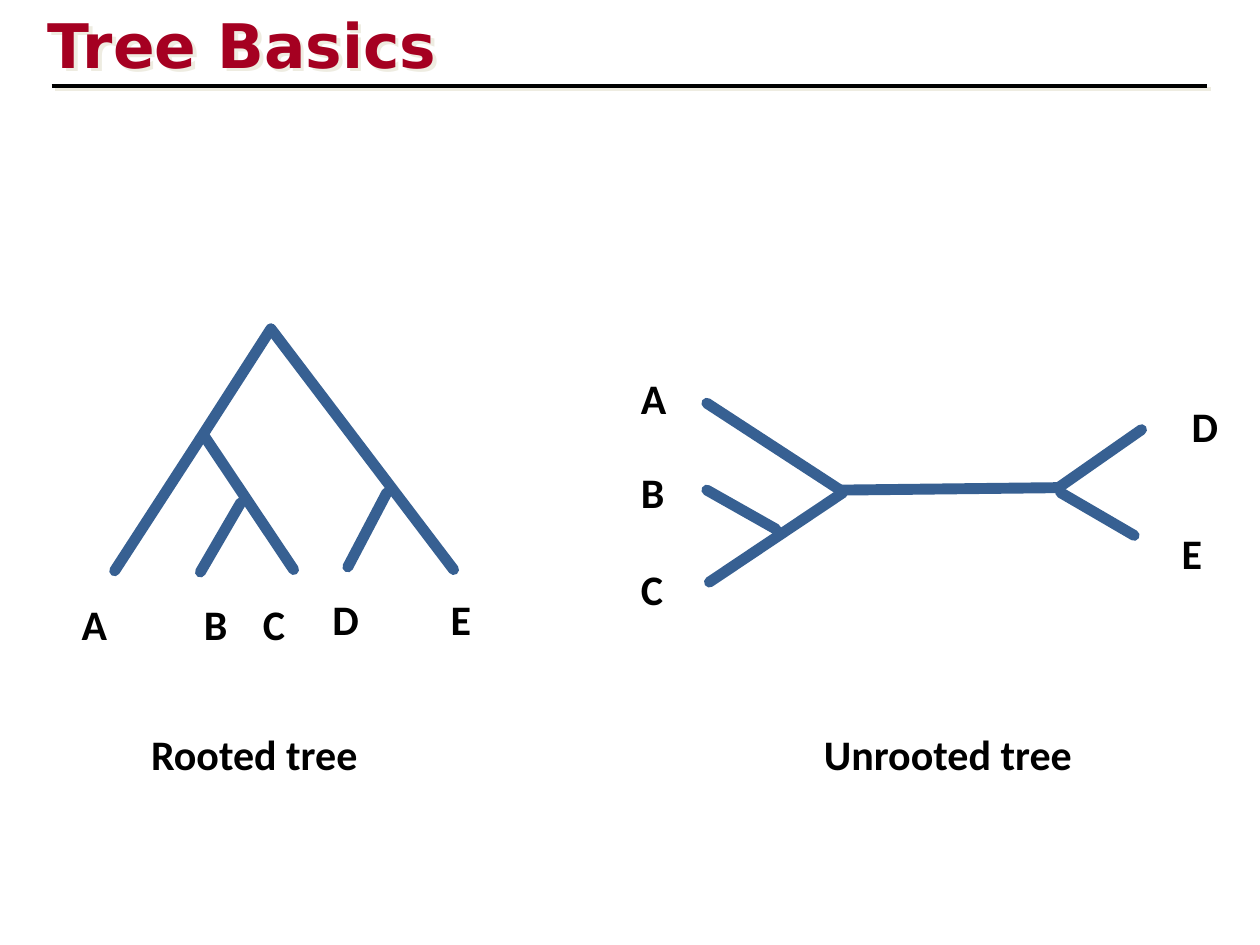
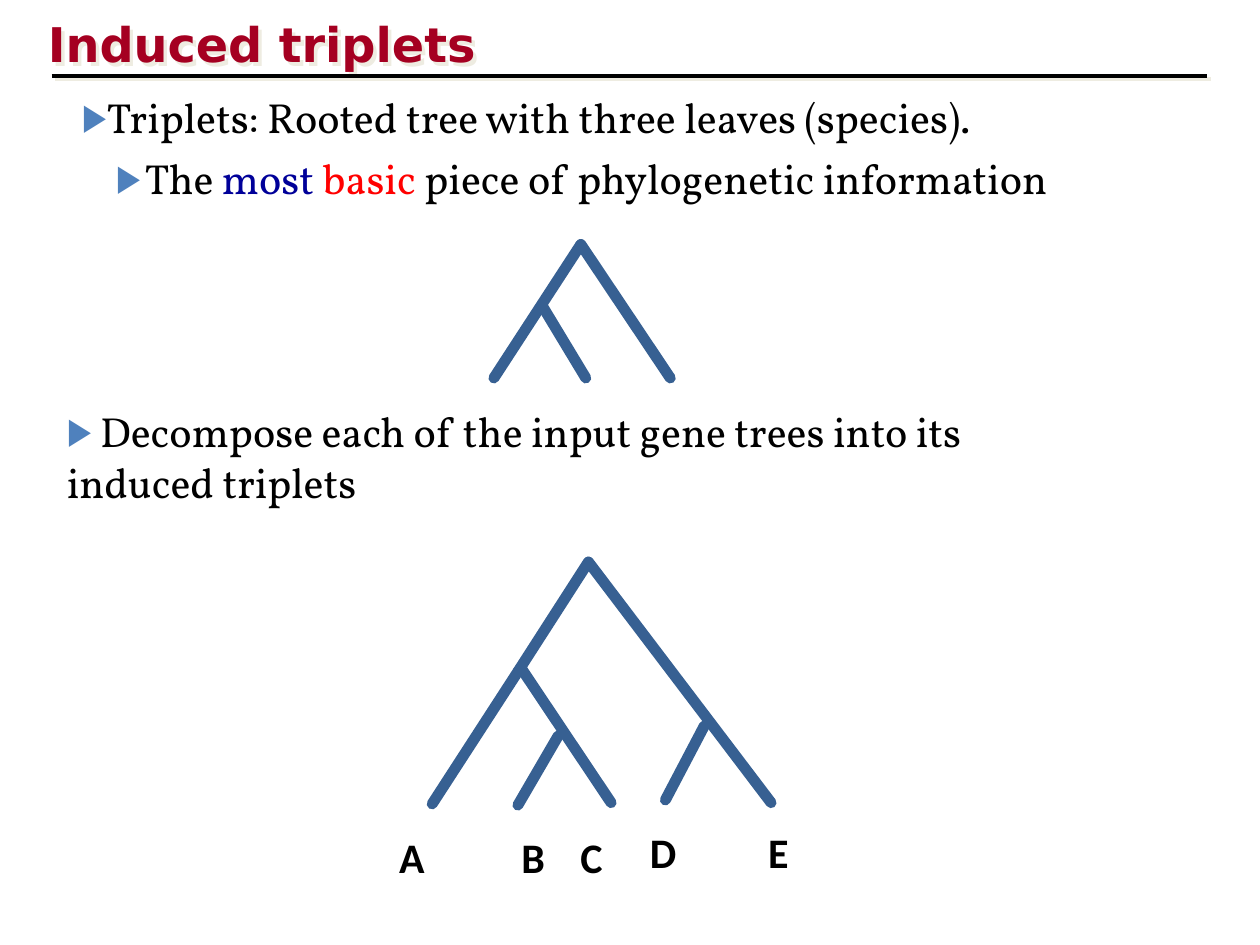
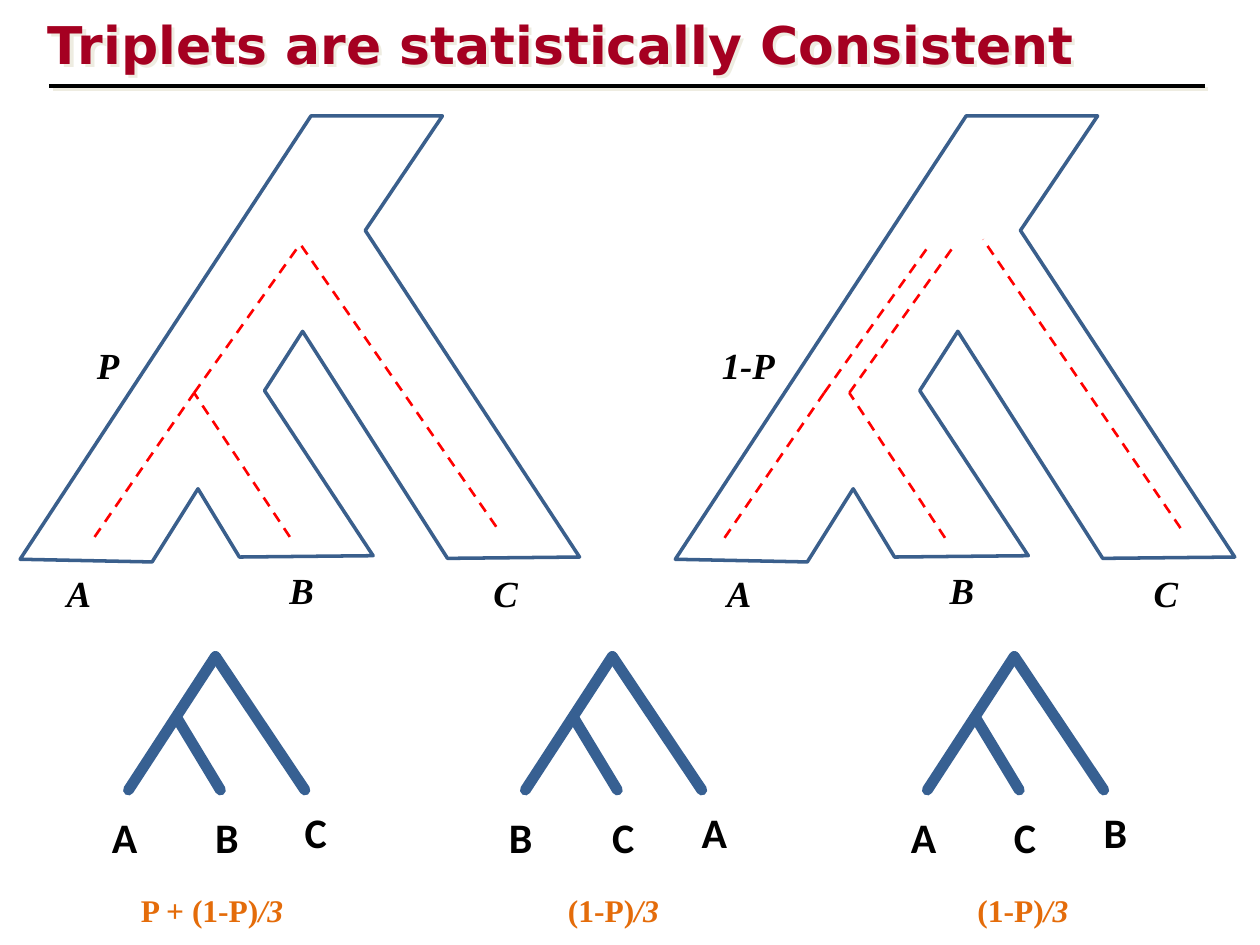
from dataclasses import dataclass

from lxml.etree import SubElement
from pptx import Presentation
from pptx.dml.color import RGBColor
from pptx.enum.dml import MSO_LINE_DASH_STYLE as Dash
from pptx.enum.shapes import MSO_CONNECTOR as Connector
from pptx.enum.text import MSO_ANCHOR as Anchor, MSO_AUTO_SIZE as AutoSize, PP_ALIGN as Align
from pptx.oxml.ns import qn
from pptx.util import Emu, Inches, Pt


@dataclass(frozen=True)
class TextStyle:
    font: str
    size: float
    color: str = "000000"
    bold: bool = True
    italic: bool = False


@dataclass(frozen=True)
class LineStyle:
    color: str
    width: float
    dash: Dash = None
    cap: str = "flat"


@dataclass(frozen=True)
class Theme:
    title_font: str = "DejaVu Sans"
    title_color: str = "A50021"
    shadow: str = "EEECE1"
    bullet: str = "4F81BD"
    navy: str = "000099"
    red: str = "FF0000"
    body: TextStyle = TextStyle("Vollkorn", 24, bold=False)
    label: TextStyle = TextStyle("Calibri", 24)
    species: TextStyle = TextStyle("Times New Roman", 21, italic=True)
    formula: TextStyle = TextStyle("Times New Roman", 18, "E46C0A")
    rule: LineStyle = LineStyle("000000", 2.25)
    branch: LineStyle = LineStyle("376092", 6.25, cap="rnd")
    tube: LineStyle = LineStyle("3A5F8C", 2)
    gene: LineStyle = LineStyle("FF0000", 1.5, Dash.DASH)


THEME = Theme()
TITLE_ONLY, TWO_CONTENT = 5, 3
LABEL_SIZE = (0.43, 0.5)


@dataclass(frozen=True)
class Box:
    """A region in inches; points inside it are percentages of its sides."""
    left: float
    top: float
    width: float
    height: float

    def point(self, across, down):
        return (Inches(self.left + self.width * across / 100),
                Inches(self.top + self.height * down / 100))

    def place(self, shape):
        shape.left, shape.top = Inches(self.left), Inches(self.top)
        shape.width, shape.height = Inches(self.width), Inches(self.height)


# Branches are pairs of points, labels are text and top-left corner.
FIVE_LEAF_BRANCHES = [
    ((0, 99.5), (25.3, 45.1)), ((52.8, 99), (26.4, 44)), ((37.2, 71.5), (25.3, 100)),
    ((25.3, 45.1), (46.1, 0)), ((100, 99), (46.1, 0)), ((80.3, 67.4), (68.8, 97.9)),
]
FIVE_LEAF_LABELS = [("A", -13.4, 108.3), ("B", 22.7, 108.3), ("C", 40.1, 108.3),
                    ("D", 60.6, 106.2), ("E", 95.5, 106.2)]
UNROOTED_BRANCHES = [
    ((0, 0), (30.7, 48.6)), ((0.6, 100), (31.3, 50)), ((15.9, 70.4), (0, 48.6)),
    ((30.7, 48.6), (81.2, 47.2)), ((81.4, 50), (98.3, 73.9)), ((80.9, 47.2), (100, 14.8)),
]
UNROOTED_LABELS = [("A", -18, -20.4), ("B", -18, 31.7), ("C", -18, 85.9),
                   ("D", 108.7, -4.9), ("E", 106.4, 66.2)]
TRIPLET_BRANCHES = [((0, 100), (49.3, 0)), ((27.1, 45.3), (52.1, 100)), ((100, 100), (49.3, 0))]
TRIPLET_CORNERS = [(-16.4, 111.5), (42.1, 111.5), (92.9, 107.8)]
TUBE_OUTLINE = [
    (75.5, 0), (61.7, 25.7), (100, 98.9), (76.4, 99.2), (50.5, 48.3), (43.7, 61.6),
    (63.1, 98.6), (39.2, 98.9), (31.8, 83.6), (23.6, 100), (0, 99.4), (52, 0),
]
JOINED_GENES = [((13.3, 94.4), (31.1, 62.1)), ((48.2, 94.4), (31.1, 62.1)),
                ((31.1, 62.1), (50, 28.8)), ((85.1, 92.1), (49.5, 27.7))]
SEPARATE_GENES = [((8.8, 94.6), (26.6, 62.1)), ((26.6, 62.1), (45.5, 28.8)),
                  ((48.2, 94.6), (31.1, 62.1)), ((31.1, 62.1), (50, 28.8)),
                  ((90.3, 92.4), (55, 27.7))]


def style_font(font, style):
    font.name, font.size = style.font, Pt(style.size)
    font.bold, font.italic = style.bold, style.italic
    font.color.rgb = RGBColor.from_string(style.color)


def style_line(line, style):
    line.color.rgb = RGBColor.from_string(style.color)
    line.width = Pt(style.width)
    if style.dash:
        line.dash_style = style.dash


def add_effects(shape, shadowed=False):
    """Replace the inherited effects by none, or by the soft cream shadow."""
    effects = SubElement(shape._element.spPr, qn("a:effectLst"))
    if shadowed:
        shadow = SubElement(effects, qn("a:outerShdw"), dist=str(Pt(2.8)),
                            dir="2700000", algn="ctr", rotWithShape="0")
        SubElement(shadow, qn("a:srgbClr"), val=THEME.shadow)


def add_line(slide, start, end, style, shadowed=False):
    line = slide.shapes.add_connector(Connector.STRAIGHT, *start, *end)
    style_line(line.line, style)
    line.line._get_or_add_ln().set("cap", style.cap)
    add_effects(line, shadowed)


def add_lines(slide, box, pairs, style):
    for start, end in pairs:
        add_line(slide, box.point(*start), box.point(*end), style)


def add_text(slide, corner, size, text, style):
    text_box = slide.shapes.add_textbox(*corner, *map(Inches, size))
    frame = text_box.text_frame
    frame.word_wrap = True
    paragraph = frame.paragraphs[0]
    paragraph.text = text
    style_font(paragraph.runs[0].font, style)
    return paragraph


def add_labels(slide, box, labels, style, size=LABEL_SIZE):
    for text, across, down in labels:
        add_text(slide, box.point(across, down), size, text, style)


def add_titled_slide(presentation, layout, title, size, rule_left=0.41, rule_top=0.68):
    slide = presentation.slides.add_slide(presentation.slide_layouts[layout])
    shape = slide.shapes.title
    Box(0.28, 0.01, 9.02, 0.67).place(shape)
    frame = shape.text_frame
    frame.text = title
    frame.auto_size, frame.vertical_anchor = AutoSize.NONE, Anchor.MIDDLE
    frame.paragraphs[0].alignment = Align.LEFT
    style_font(frame.paragraphs[0].runs[0].font,
               TextStyle(THEME.title_font, size, THEME.title_color))
    add_effects(shape, shadowed=True)
    rule = Box(rule_left, rule_top, 9.17, 0)
    add_line(slide, rule.point(0, 0), rule.point(100, 0), THEME.rule, shadowed=True)
    return slide


def add_tree(slide, box, branches, labels):
    add_lines(slide, box, branches, THEME.branch)
    add_labels(slide, box, labels, THEME.label)


def add_triplet(slide, left, top, leaves=""):
    labels = [(leaf, *corner) for leaf, corner in zip(leaves, TRIPLET_CORNERS)]
    add_tree(slide, Box(left, top, 1.4, 1.06), TRIPLET_BRANCHES, labels)


def add_five_leaf_tree(slide, left, top):
    add_tree(slide, Box(left, top, 2.69, 1.93), FIVE_LEAF_BRANCHES, FIVE_LEAF_LABELS)


def add_species_tree(slide, box, genes, probability, species):
    """Draw a tube-shaped species tree with the gene lineages inside it."""
    builder = slide.shapes.build_freeform(*box.point(*TUBE_OUTLINE[0]))
    builder.add_line_segments([box.point(*corner) for corner in TUBE_OUTLINE[1:]])
    tube = builder.convert_to_shape()
    tube.fill.background()
    style_line(tube.line, THEME.tube)
    tube.shadow.inherit = False
    add_lines(slide, box, genes, THEME.gene)
    add_labels(slide, box, [probability], THEME.species, (0.68, 0.45))
    add_labels(slide, box, species, THEME.species, (0.43, 0.45))


def add_formula(slide, left, plain):
    paragraph = add_text(slide, (Inches(left), Inches(7.02)), (1.97, 0.4), plain, THEME.formula)
    divisor = paragraph.add_run()
    divisor.text = "/3"
    style_font(divisor.font, THEME.formula)
    divisor.font.italic = True


def add_bullet(paragraph, margin=0, indent=0):
    paragraph.space_before = Pt(6)
    properties = paragraph._p.get_or_add_pPr()
    properties.set("marL", str(Inches(margin)))
    properties.set("indent", str(Inches(indent)))
    color = SubElement(properties, qn("a:buClr"))
    SubElement(color, qn("a:srgbClr"), val=THEME.bullet)
    SubElement(properties, qn("a:buSzPct"), val="90000")
    SubElement(properties, qn("a:buChar"), char="▶")


def fill_list(placeholder, box, items):
    """Fill a list; each item is its level and its runs of text and colour."""
    box.place(placeholder)
    frame = placeholder.text_frame
    frame.auto_size = AutoSize.NONE
    for number, (level, runs) in enumerate(items):
        paragraph = frame.add_paragraph() if number else frame.paragraphs[0]
        paragraph.level = level
        add_bullet(paragraph, *((0.5, -0.23) if level else (0, 0)))
        for text, color in runs:
            run = paragraph.add_run()
            run.text = text
            style_font(run.font, THEME.body)
            run.font.color.rgb = RGBColor.from_string(color)


def build_basics(presentation):
    slide = add_titled_slide(presentation, TITLE_ONLY, "Tree Basics", 35.1)
    add_five_leaf_tree(slide, 0.91, 2.61)
    add_tree(slide, Box(5.61, 3.2, 3.45, 1.42), UNROOTED_BRANCHES, UNROOTED_LABELS)
    for caption, left in (("Rooted tree", 1.1), ("Unrooted tree", 6.44)):
        add_text(slide, (Inches(left), Inches(5.73)), (2.65, 0.5), caption, THEME.label)


def build_triplets(presentation):
    slide = add_titled_slide(presentation, TWO_CONTENT, "Induced triplets", 27.3, rule_top=0.6)
    definition, decomposition = list(slide.placeholders)[1:]
    black = THEME.body.color
    fill_list(definition, Box(0.55, 0.68, 8.46, 0.99), [
        (0, [("Triplets: Rooted tree with three leaves (species).", black)]),
        (1, [("The ", black), ("most ", THEME.navy), ("basic", THEME.red),
             (" piece of phylogenetic information", black)]),
    ])
    fill_list(decomposition, Box(0.43, 3.17, 8.46, 0.91), [
        (0, [(" Decompose each of the input gene trees into its induced triplets", black)]),
    ])
    add_triplet(slide, 3.92, 1.94)
    add_five_leaf_tree(slide, 3.43, 4.46)


def build_consistency(presentation):
    slide = add_titled_slide(presentation, TITLE_ONLY, "Triplets are statistically Consistent",
                             29.7, rule_left=0.39)
    add_species_tree(slide, Box(0.16, 0.92, 4.44, 3.54), JOINED_GENES, ("P", 11.5, 49.4),
                     [("A", 6.1, 100.6), ("B", 45.9, 100), ("C", 82.4, 100.6)])
    add_species_tree(slide, Box(5.36, 0.92, 4.44, 3.54), SEPARATE_GENES, ("1-P", 6.1, 49.4),
                     [("A", 7, 100.6), ("B", 46.8, 100), ("C", 83.3, 100.6)])
    for left, leaves, formula_left, formula in (
            (1.02, "ABC", 1.02, "P + (1-P)"),
            (4.17, "BCA", 4.41, "(1-P)"),
            (7.36, "ACB", 7.66, "(1-P)")):
        add_triplet(slide, left, 5.21, leaves)
        add_formula(slide, formula_left, formula)


def main():
    presentation = Presentation()
    presentation.slide_width, presentation.slide_height = Inches(10), Inches(7.5)
    for build in (build_basics, build_triplets, build_consistency):
        build(presentation)
    presentation.save("out.pptx")


if __name__ == "__main__":
    main()
